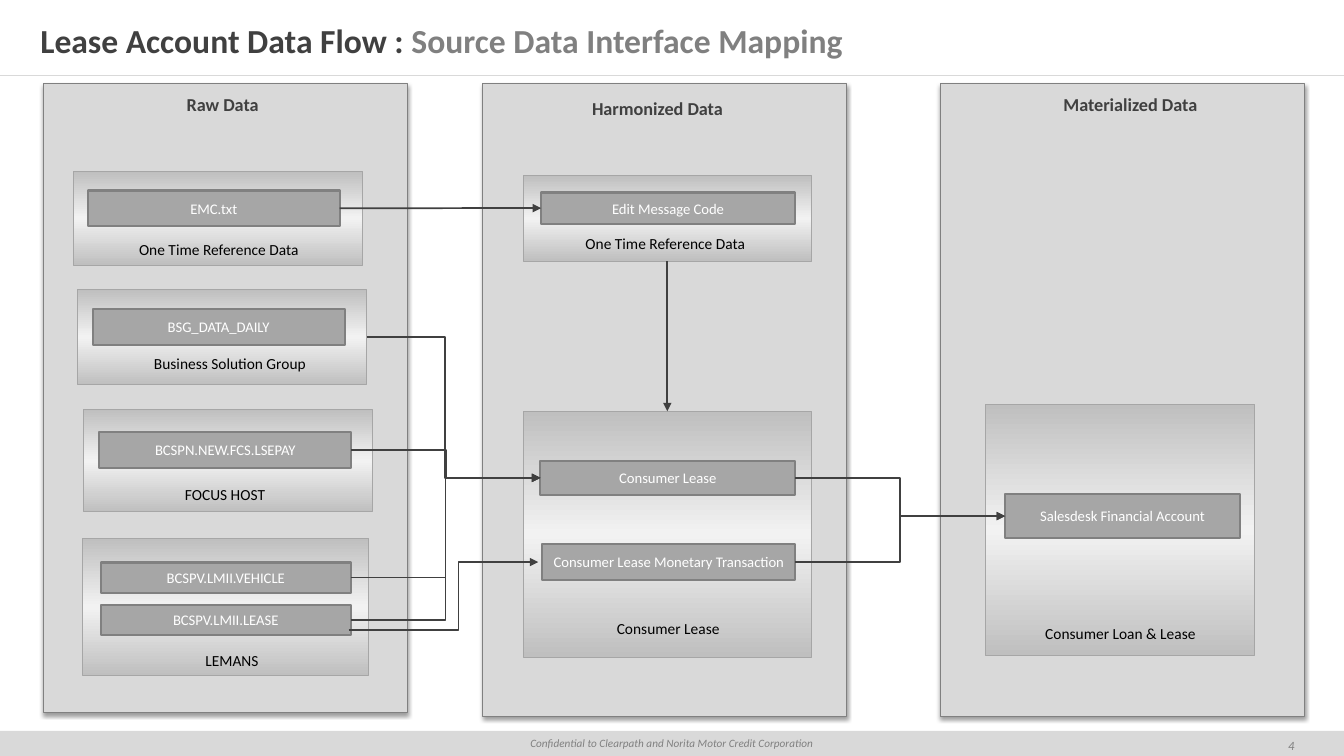
from copy import deepcopy

from lxml import etree
from pptx import Presentation
from pptx import util as u
from pptx.dml import color
from pptx.enum import shapes, text
from pptx.oxml import ns

W, H = 960, 540
LEFT, CENTER = text.PP_ALIGN.LEFT, text.PP_ALIGN.CENTER
TOP, MIDDLE = text.MSO_ANCHOR.TOP, text.MSO_ANCHOR.MIDDLE
LEFT_SITE, BOTTOM_SITE, RIGHT_SITE, TOP_SITE = 1, 2, 3, 0
ELBOW, STRAIGHT = shapes.MSO_CONNECTOR.ELBOW, shapes.MSO_CONNECTOR.STRAIGHT


def rgb(value):
    return color.RGBColor.from_string(value)


def child(parent, tag, **attrs):
    return etree.SubElement(parent, ns.qn(tag), attrs)


def write(sp, runs, align=CENTER, frame=None, **font):
    """Write (text, colour) runs into one paragraph."""
    tf = sp.text_frame
    fmt = {"word_wrap": True, "vertical_anchor": TOP, **(frame or {})}
    for name, value in fmt.items():
        setattr(tf, name, value)
    p = tf.paragraphs[0]
    p.alignment = align
    for content, hue in runs:
        r = p.add_run()
        r.text = content
        r.font.color.rgb = rgb(hue)
        for name, value in {"name": "Calibri", **font}.items():
            setattr(r.font, name, value)
    return p


def label(slide, box, runs, **style):
    sp = slide.shapes.add_textbox(*map(u.Pt, box))
    write(sp, runs, **style)


def rect(slide, box, fill, line=None, width=0):
    sp = slide.shapes.add_shape(shapes.MSO_SHAPE.RECTANGLE, *map(u.Pt, box))
    sp.shadow.inherit = False
    if fill:
        sp.fill.solid()
        sp.fill.fore_color.rgb = rgb(fill)
    if line:
        sp.line.color.rgb = rgb(line)
        sp.line.width = u.Pt(width)
    else:
        sp.line.fill.background()
    return sp


def style_connector(line, hue, width):
    line.line.color.rgb = rgb(hue)
    line.line.width = u.Pt(width)
    child(line._element.spPr, "a:effectLst")


def header(slide, box):
    x, y, w, h = box
    label(slide, (x, y + 11.5, w, 34.6),
          [("Lease Account Data Flow : ", "404040"),
           ("Source Data Interface Mapping", "808080")],
          align=LEFT, size=u.Pt(24), bold=True,
          frame={"vertical_anchor": MIDDLE,
                 "margin_left": u.Pt(28.8), "margin_right": u.Pt(28.8),
                 "margin_top": u.Pt(14.4), "margin_bottom": u.Pt(14.4)})
    rule = slide.shapes.add_connector(
        STRAIGHT, *map(u.Pt, (x, y + h, x + w, y + h)))
    style_connector(rule, "D9D9D9", 0.25)


def footer(slide, box):
    x, y, w, h = box
    rect(slide, box, "D9D9D9")
    band = rect(slide, (x, y + 0.7, w, h - 0.7), "D9D9D9")
    notice = "Confidential to Clearpath and Norita Motor Credit Corporation"
    p = write(band, [(notice, "808080")], size=u.Pt(8), italic=True)
    p.space_after = u.Pt(12)
    label(slide, (x + w - 60, y + 2.2, 44.6, 15.8), [("4", "808080")],
          size=u.Pt(9), italic=True, frame={"vertical_anchor": MIDDLE})


def column(slide, box, title, title_dx, title_dy):
    """Grey stage panel with a soft shadow and a heading."""
    x, y, w, h = box
    panel = rect(slide, box, "D9D9D9", "808080", 0.75)
    effects = panel._element.spPr.find(ns.qn("a:effectLst"))
    shadow = child(effects, "a:outerShdw", blurRad=str(u.Pt(3.1)),
                   dist=str(u.Pt(1.6)), dir="5400000", rotWithShape="0")
    child(child(shadow, "a:srgbClr", val="000000"), "a:alpha", val="38000")
    label(slide, (x + title_dx, y + title_dy, 180, 23), [(title, "404040")],
          size=u.Pt(13), bold=True)


def group(slide, box, caption, caption_box, bars):
    """Shaded group; caption and bars are placed relative to its corner."""
    x, y = box[:2]
    panel = rect(slide, box, None, "A6A6A6")
    panel.fill.gradient()
    panel.fill.gradient_angle = 90
    stops = panel._element.spPr.find(".//" + ns.qn("a:gsLst"))
    stops.insert(1, deepcopy(stops[0]))
    for stop, position, hue in zip(panel.fill.gradient_stops, (0, 0.5, 1),
                                   ("BFBFBF", "F2F2F2", "BFBFBF")):
        stop.position = position
        stop.color.rgb = rgb(hue)

    dx, dy, w = caption_box
    label(slide, (x + dx, y + dy, w, 20.6), [(caption, "000000")],
          align=LEFT, size=u.Pt(11), frame={"word_wrap": False})

    parts = [panel]
    for name, (dx, dy, w, h) in bars:
        bar = rect(slide, (x + dx, y + dy, w, h), "A6A6A6", "808080", 1.5)
        write(bar, [(name, "FFFFFF")], size=u.Pt(10.5),
              frame={"vertical_anchor": MIDDLE, "word_wrap": False})
        parts.append(bar)
    return parts


def arrow(slide, kind, points=(0, 0, 0, 0), start=None, end=None, bend=0.5):
    """Arrow between (shape, site) pairs, or between the given points."""
    line = slide.shapes.add_connector(kind, *map(u.Pt, points))
    if start:
        line.begin_connect(*start)
        line.end_connect(*end)
    style_connector(line, "404040", 1.25)
    child(line.line._get_or_add_ln(), "a:tailEnd", type="triangle")
    if kind == ELBOW:
        geometry = line._element.spPr.find(ns.qn("a:prstGeom"))
        guides = geometry.find(ns.qn("a:avLst"))
        if guides is None:
            guides = child(geometry, "a:avLst")
        child(guides, "a:gd", name="adj1", fmla=f"val {round(bend * 100000)}")


def data_flow(slide):
    # Stage panels
    column(slide, (31, 60, 260, 449), "Raw Data", 38, 3)
    column(slide, (345, 60, 260, 452), "Harmonized Data", 34.6, 5.8)
    column(slide, (672, 60, 260, 452), "Materialized Data", 45.4, 3)

    # Raw data
    _, emc = group(slide, (52.6, 122.4, 206.6, 67), "One Time Reference Data",
                   (39.6, 45.4, 130.3), [("EMC.txt", (10.1, 13.7, 180, 25.2))])
    bsg, _ = group(slide, (55.4, 206.6, 206.6, 68.4), "Business Solution Group",
                   (47.5, 42.5, 123.8),
                   [("BSG_DATA_DAILY", (10.8, 14.4, 180, 25.2))])
    _, lsepay = group(slide, (59.5, 292.3, 206.6, 73.4), "FOCUS HOST",
                      (65.5, 50.4, 72),
                      [("BCSPN.NEW.FCS.LSEPAY", (11.5, 16.6, 180, 25.2))])
    _, vehicle, lease = group(
        slide, (59, 384.5, 204.5, 97.9), "LEMANS", (80.6, 77, 52.6),
        [("BCSPV.LMII.VEHICLE", (13, 17.3, 178.6, 21.6)),
         ("BCSPV.LMII.LEASE", (13, 47.5, 178.6, 21.6))])

    # Harmonized data
    reference, message = group(
        slide, (373.7, 125.3, 206, 61.2), "One Time Reference Data",
        (37.4, 38.2, 130.3), [("Edit Message Code", (12.8, 12.2, 181.4, 22.3))])
    consumer, consumer_lease, monetary = group(
        slide, (373.7, 293.8, 206, 175.7), "Consumer Lease",
        (59.8, 144.7, 88.6),
        [("Consumer Lease", (12.2, 35.3, 182.2, 24.5)),
         ("Consumer Lease Monetary Transaction", (13.7, 95, 180.7, 25.2))])

    # Materialized data
    _, account = group(
        slide, (704.2, 288.7, 192.2, 179.3), "Consumer Loan & Lease",
        (35.3, 153.4, 122.4),
        [("Salesdesk Financial Account", (13.7, 64.1, 167.8, 31.7))])

    # Flows
    for kind, source, target, bend in (
            (STRAIGHT, emc, message, 0.5),
            (ELBOW, bsg, consumer_lease, 0.45),
            (ELBOW, lsepay, consumer_lease, 0.5),
            (ELBOW, vehicle, consumer_lease, 0.5),
            (ELBOW, lease, consumer_lease, 0.5),
            (ELBOW, consumer_lease, account, 0.5),
            (ELBOW, monetary, account, 0.5)):
        arrow(slide, kind, start=(source, RIGHT_SITE),
              end=(target, LEFT_SITE), bend=bend)
    arrow(slide, STRAIGHT, start=(reference, BOTTOM_SITE),
          end=(consumer, TOP_SITE))
    arrow(slide, ELBOW, points=(249, 450, 384.5, 401.5), bend=0.58)


def main():
    prs = Presentation()
    prs.slide_width, prs.slide_height = u.Pt(W), u.Pt(H)
    slide = prs.slides.add_slide(prs.slide_layouts[6])
    footer(slide, (0, 522, W, 18))
    header(slide, (0, 0, W, 54))
    data_flow(slide)
    prs.save("out.pptx")


if __name__ == "__main__":
    main()
